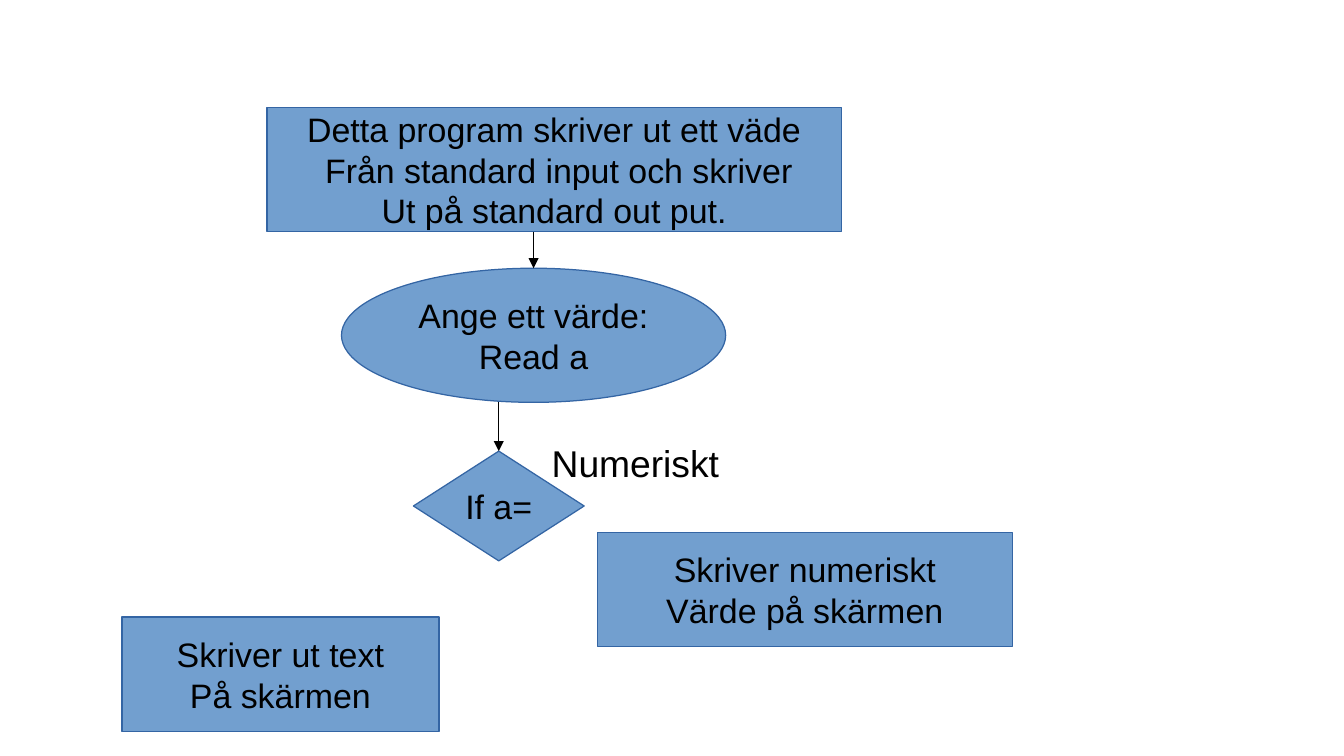
from pptx import Presentation
from pptx import util as u
from pptx.dml.color import RGBColor
from pptx.enum import shapes, text
from pptx.oxml import parse_xml
from pptx.oxml.ns import nsdecls

COLS, ROWS = 110.2, 62
CELL = u.Inches(0.1)
HEX = {"fill": "729FCF", "edge": "3465A4", "ink": "000000"}
FORM = shapes.MSO_SHAPE


def grid(*cells):
    return [int(c * CELL) for c in cells]


def tint(name):
    return RGBColor.from_string(HEX[name])


def write(frame, lines, size=20, font="Arial", ink="ink", wrap=False, pad=(1, 0.5, 1, 0.5)):
    frame.auto_size = text.MSO_AUTO_SIZE.NONE
    frame.word_wrap = wrap
    frame.vertical_anchor = text.MSO_ANCHOR.MIDDLE
    (frame.margin_left, frame.margin_top,
     frame.margin_right, frame.margin_bottom) = grid(*pad)
    for i, line in enumerate(lines):
        para = frame.paragraphs[0] if i == 0 else frame.add_paragraph()
        para.alignment = text.PP_ALIGN.CENTER
        run = para.add_run()
        run.text = line
        run.font.size = u.Pt(size)
        run.font.name = font
        run.font.color.rgb = tint(ink)


def label(slide, line, box, **style):
    title = slide.shapes.title
    title.left, title.top, title.width, title.height = grid(*box)
    write(title.text_frame, [line], wrap=True, **style)


def node(slide, form, box, *lines):
    shape = slide.shapes.add_shape(form, *grid(*box))
    shape.shadow.inherit = False
    shape.fill.solid()
    shape.fill.fore_color.rgb = tint("fill")
    shape.line.color.rgb = tint("edge")
    shape.line.width = u.Pt(0.75)
    write(shape.text_frame, lines)
    return shape


def arrow(slide, above, below):
    mid = below.left + below.width // 2
    link = slide.shapes.add_connector(
        shapes.MSO_CONNECTOR.STRAIGHT, mid, above.top + above.height, mid, below.top)
    link.end_connect(below, 0)
    link.line.color.rgb = tint("ink")
    link.line.width = u.Pt(0.75)
    link.line._get_or_add_ln().append(
        parse_xml(f'<a:tailEnd {nsdecls("a")} type="triangle"/>'))
    link._element.spPr.append(parse_xml(f'<a:effectLst {nsdecls("a")}/>'))


def main():
    deck = Presentation()
    deck.slide_width, deck.slide_height = grid(COLS, ROWS)
    slide = deck.slides.add_slide(deck.slide_layouts[5])
    label(slide, "Numeriskt", (5.5, 14.5, 99.2, 36), size=22, pad=(0, 10.9, 6, 0))
    intro = node(slide, FORM.RECTANGLE, (21.9, 8.8, 47.1, 10.2),
                 "Detta program skriver ut ett väde",
                 " Från standard input och skriver",
                 "Ut på standard out put.")
    test = node(slide, FORM.DIAMOND, (33.9, 37, 14, 9), "If a=")
    read = node(slide, FORM.OVAL, (28, 22, 31.5, 11), "Ange ett värde:", "Read a")
    node(slide, FORM.RECTANGLE, (10, 50.6, 26, 9.4), "Skriver ut text", "På skärmen")
    node(slide, FORM.RECTANGLE, (49, 43.7, 34, 9.3), "Skriver numeriskt", "Värde på skärmen")
    arrow(slide, intro, read)
    arrow(slide, read, test)
    deck.save("out.pptx")


if __name__ == "__main__":
    main()
